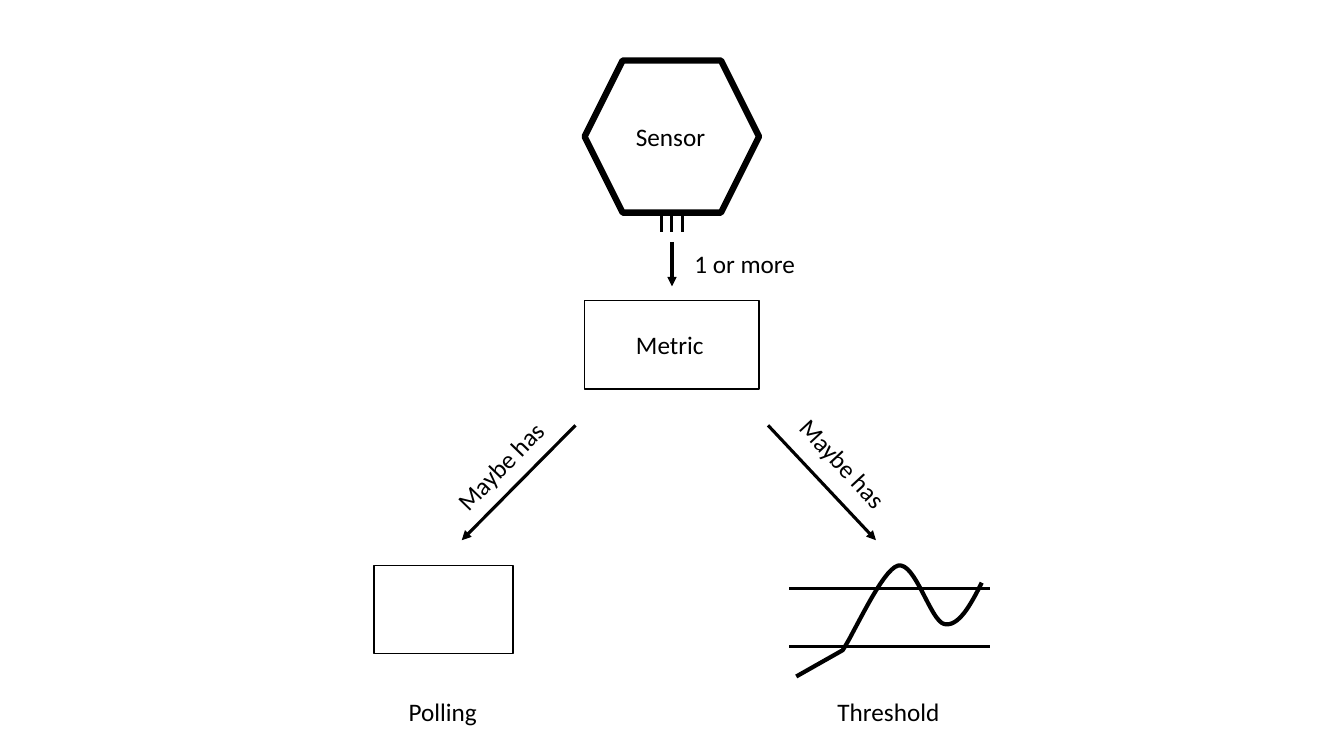
from collections import namedtuple
from dataclasses import dataclass

from lxml.etree import SubElement
from pptx import Presentation
from pptx.dml.color import RGBColor
from pptx.enum.shapes import MSO_CONNECTOR as Connector, MSO_SHAPE as Shape
from pptx.enum.text import MSO_ANCHOR as Anchor, PP_ALIGN as Align
from pptx.oxml.ns import qn
from pptx.util import Pt

Box = namedtuple("Box", "left top width height")


@dataclass(frozen=True)
class Theme:
    ink: RGBColor = RGBColor(0, 0, 0)
    font: str = "Calibri"
    text_size: float = 18
    thin: float = 1
    medium: float = 2.25
    curve: float = 3
    heavy: float = 4.5


THEME = Theme()
LABEL_HEIGHT = 29
CURVE_STEPS = 16


# Basic parts
def ink_line(line, weight):
    line.color.rgb = THEME.ink
    line.width = Pt(weight)


def add_outline(page, kind, box, weight):
    shape = page.shapes.add_shape(kind, *map(Pt, box))
    shape.shadow.inherit = False
    shape.fill.background()
    ink_line(shape.line, weight)


def add_line(page, start, end, arrow=False):
    line = page.shapes.add_connector(Connector.STRAIGHT, *map(Pt, (*start, *end)))
    ink_line(line.line, THEME.medium)
    properties = line._element.spPr
    if arrow:
        SubElement(properties.find(qn("a:ln")), qn("a:tailEnd"), type="triangle")
    SubElement(properties, qn("a:effectLst"))


def add_label(page, text, center_x, center_y, width, rotation=0):
    label = page.shapes.add_textbox(
        Pt(center_x - width / 2), Pt(center_y - LABEL_HEIGHT / 2),
        Pt(width), Pt(LABEL_HEIGHT))
    label.rotation = rotation
    frame = label.text_frame
    frame.word_wrap = False
    frame.vertical_anchor = Anchor.TOP
    para = frame.paragraphs[0]
    para.text = text
    para.alignment = Align.LEFT
    para.font.name = THEME.font
    para.font.size = Pt(THEME.text_size)
    para.font.color.rgb = THEME.ink


def bezier(start, first, second, end):
    """Points along a cubic curve, without its start."""
    for step in range(1, CURVE_STEPS + 1):
        t = step / CURVE_STEPS
        u = 1 - t
        yield tuple(u**3 * a + 3 * u * u * t * b + 3 * u * t * t * c + t**3 * d
                    for a, b, c, d in zip(start, first, second, end))


# Regions
def draw_sensor(page, box):
    middle = box.left + box.width / 2
    bottom = box.top + box.height
    for offset in (-7.5, 0, 7.5):
        add_line(page, (middle + offset, bottom + 1.5), (middle + offset, bottom + 13.7))
    add_outline(page, Shape.HEXAGON, box, THEME.heavy)
    add_label(page, "Sensor", middle, box.top + box.height / 2, 65.5)


def draw_metric(page, box):
    add_outline(page, Shape.RECTANGLE, box, THEME.thin)
    add_label(page, "Metric", box.left + box.width / 2 - 1,
              box.top + box.height / 2, 63.4)


def draw_polling(page, box):
    add_outline(page, Shape.RECTANGLE, box, THEME.thin)
    add_label(page, "Polling", box.left + box.width / 2, box.top + 104.5, 64)


def draw_threshold(page, box):
    # Signal: a straight rise, then three curves
    points = [(5, 79.2), (38.1, 60.5)]
    for curve in (((45.3, 50.4), (66.2, 2.9), (77.7, 0)),
                  ((90, -2.9), (100.8, 39.6), (110.8, 41.8)),
                  ((120.9, 43.9), (129.6, 28.1), (137.5, 12.2))):
        points.extend(bezier(points[-1], *curve))
    placed = [(Pt(box.left + x), Pt(box.top + y)) for x, y in points]
    builder = page.shapes.build_freeform(*placed[0])
    builder.add_line_segments(placed[1:], close=False)
    signal = builder.convert_to_shape()
    signal.shadow.inherit = False
    signal.fill.background()
    ink_line(signal.line, THEME.curve)

    # Upper and lower limits
    for offset in (16.5, 57.5):
        limit = box.top + offset
        add_line(page, (box.left, limit), (box.left + box.width, limit))
    add_label(page, "Threshold", box.left + box.width / 2, box.top + 104.5, 88.5)


def draw_relations(page, box):
    """Arrows from sensor to metric, and from metric to its two options."""
    middle, top = box.left + box.width / 2, box.top
    add_line(page, (middle, top), (middle, top + 31.7), arrow=True)
    add_label(page, "1 or more", middle + 54.6, top + 15.8, 91.4)

    for start, end, label_x, label_y, turn in (
            (68.6, 145.7, 122.3, 158.4, 47.1), (-68.9, -150.2, -122.5, 159.8, 314)):
        add_line(page, (middle + start, top + 131),
                 (middle + end, top + box.height), arrow=True)
        add_label(page, "Maybe has", middle + label_x, top + label_y, 94.3, turn)


deck = Presentation()
deck.slide_width, deck.slide_height = Pt(960), Pt(540)
page = deck.slides.add_slide(deck.slide_layouts[6])

draw_sensor(page, Box(417.6, 43.2, 124.6, 108.7))
draw_threshold(page, Box(563.8, 404, 143.2, 80))
draw_polling(page, Box(267.1, 404, 99.4, 62.8))
draw_metric(page, Box(417.6, 214.6, 124.6, 63.4))
draw_relations(page, Box(329.8, 172.8, 300.4, 213.1))

deck.save("out.pptx")
